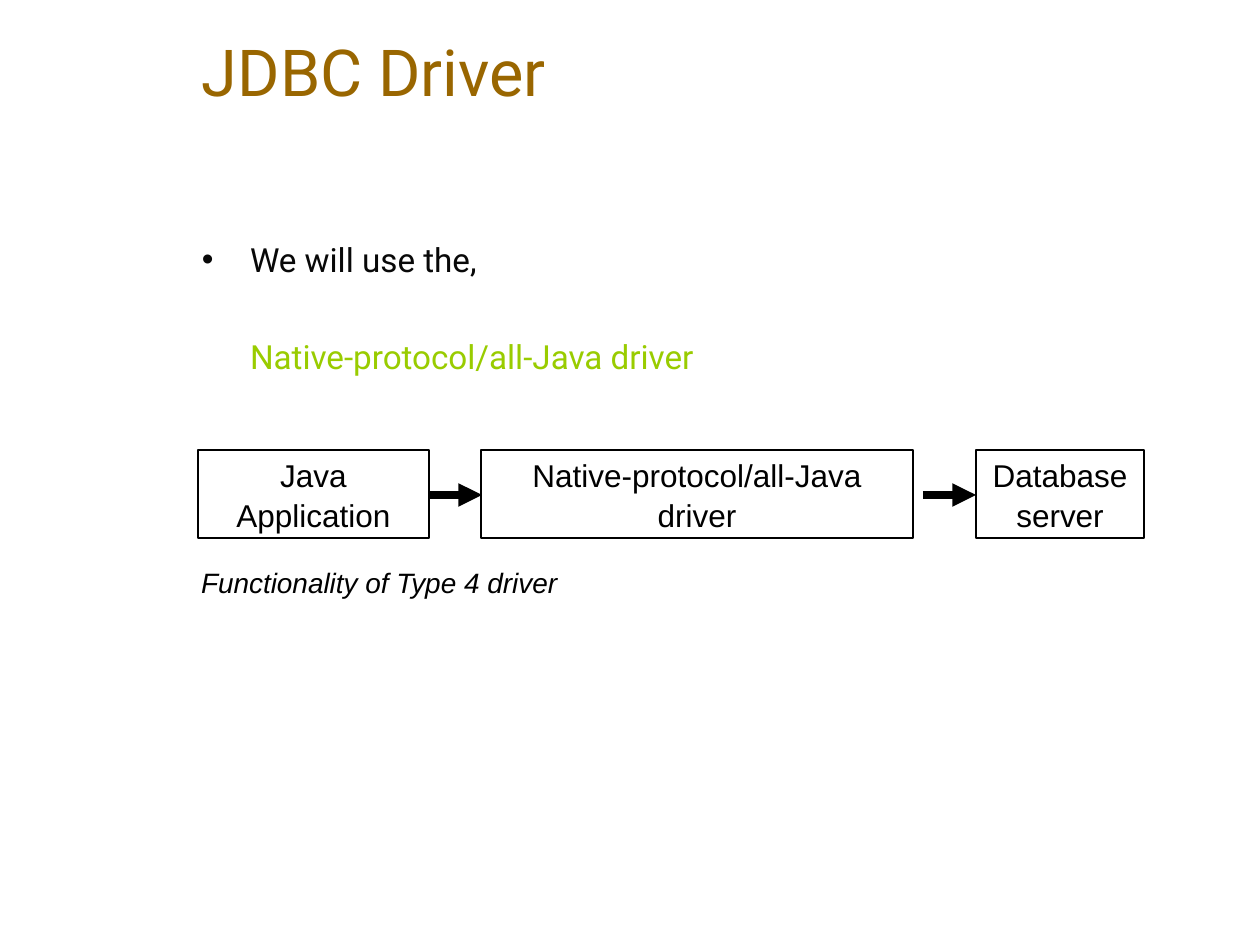
from lxml import etree
from pptx import Presentation
from pptx.dml.color import RGBColor
from pptx.enum.shapes import MSO_CONNECTOR, MSO_SHAPE
from pptx.enum.text import MSO_ANCHOR, PP_ALIGN
from pptx.oxml.ns import qn
from pptx.util import Emu, Pt

PX = 914400 / 126
BROWN = RGBColor(0x99, 0x66, 0x00)
GREEN = RGBColor(0x99, 0xCC, 0x00)
INK = RGBColor(0x08, 0x08, 0x08)
BLACK = RGBColor(0, 0, 0)
RECTANGLE = MSO_SHAPE.RECTANGLE
STRAIGHT = MSO_CONNECTOR.STRAIGHT
CENTER, LEFT = PP_ALIGN.CENTER, PP_ALIGN.LEFT
MIDDLE, TOP = MSO_ANCHOR.MIDDLE, MSO_ANCHOR.TOP

TITLE = {"name": "Roboto", "size": Pt(37)}
BODY = {"name": "Roboto", "size": Pt(19)}
LABEL = {"name": "Arial", "size": Pt(18)}
CAPTION = {"name": "Arial", "size": Pt(16), "italic": True}


def px(*lengths):
    return [Emu(round(length * PX)) for length in lengths]


class SlideBuilder:
    def __init__(self, slide):
        self.slide = slide
        self.ink = BLACK
        self.border = Pt(0.75)
        self.arrow_width = Pt(4.5)

    def frame(self, shape, inset_top=6, anchor=TOP, wrap=True):
        side, top, bottom = px(13, inset_top, 6)
        settings = {"margin_left": side, "margin_right": side, "margin_top": top,
                    "margin_bottom": bottom, "vertical_anchor": anchor, "word_wrap": wrap}
        for name, value in settings.items():
            setattr(shape.text_frame, name, value)
        return shape.text_frame

    def fill_paragraph(self, paragraph, text, font, color=None, **layout):
        for name, value in layout.items():
            setattr(paragraph, name, value)
        run = paragraph.add_run()
        run.text = text
        for name, value in font.items():
            setattr(run.font, name, value)
        run.font.color.rgb = color or self.ink

    def text(self, box, text, font, color=None, inset_top=6, wrap=True, **layout):
        frame = self.frame(self.slide.shapes.add_textbox(*px(*box)), inset_top, wrap=wrap)
        self.fill_paragraph(frame.paragraphs[0], text, font, color, alignment=LEFT, **layout)
        return frame

    def hang(self, paragraph, indent, bullet=None):
        """Indent a paragraph, hanging a bullet to its left if given."""
        properties = paragraph._p.get_or_add_pPr()
        offset = px(indent)[0]
        properties.set("marL", str(offset))
        properties.set("indent", str(-offset if bullet else 0))
        if bullet:
            etree.SubElement(properties, qn("a:buFont"), typeface="Arial")
            etree.SubElement(properties, qn("a:buChar"), char=bullet)

    def block(self, box, text):
        shape = self.slide.shapes.add_shape(RECTANGLE, *px(*box))
        shape.shadow.inherit = False
        shape.fill.background()
        shape.line.color.rgb = self.ink
        shape.line.width = self.border
        frame = self.frame(shape, anchor=MIDDLE)
        self.fill_paragraph(frame.paragraphs[0], text, LABEL,
                            alignment=CENTER, line_spacing=1.05)

    def arrow(self, start, end, y):
        connector = self.slide.shapes.add_connector(STRAIGHT, *px(start, y, end, y))
        connector.line.color.rgb = self.ink
        connector.line.width = self.arrow_width
        outline = connector._element.spPr.find(qn("a:ln"))
        etree.SubElement(outline, qn("a:tailEnd"), type="triangle")
        etree.SubElement(connector._element.spPr, qn("a:effectLst"))


def main():
    presentation = Presentation()
    presentation.slide_width, presentation.slide_height = px(1260, 945)
    builder = SlideBuilder(presentation.slides.add_slide(presentation.slide_layouts[6]))

    builder.text((189, 21, 1040, 158), "JDBC Driver", TITLE, BROWN, inset_top=11)

    body = builder.text((189, 231, 977, 546), "We will use the,", BODY, INK, inset_top=8)
    builder.hang(body.paragraphs[0], 48, "•")
    driver = body.add_paragraph()
    builder.fill_paragraph(driver, "Native-protocol/all-Java driver", BODY, GREEN,
                           space_before=Pt(33))
    builder.hang(driver, 48)

    for left, width, label in ((198, 231, "Java Application"),
                               (481, 432, "Native-protocol/all-Java driver"),
                               (976, 168, "Database server")):
        builder.block((left, 450, width, 88), label)
    for start in (429, 923):
        builder.arrow(start, start + 53, 495)

    builder.text((188, 558, 383, 46), "Functionality of Type 4 driver", CAPTION,
                 wrap=False, line_spacing=1.05)
    presentation.save("out.pptx")


if __name__ == "__main__":
    main()
